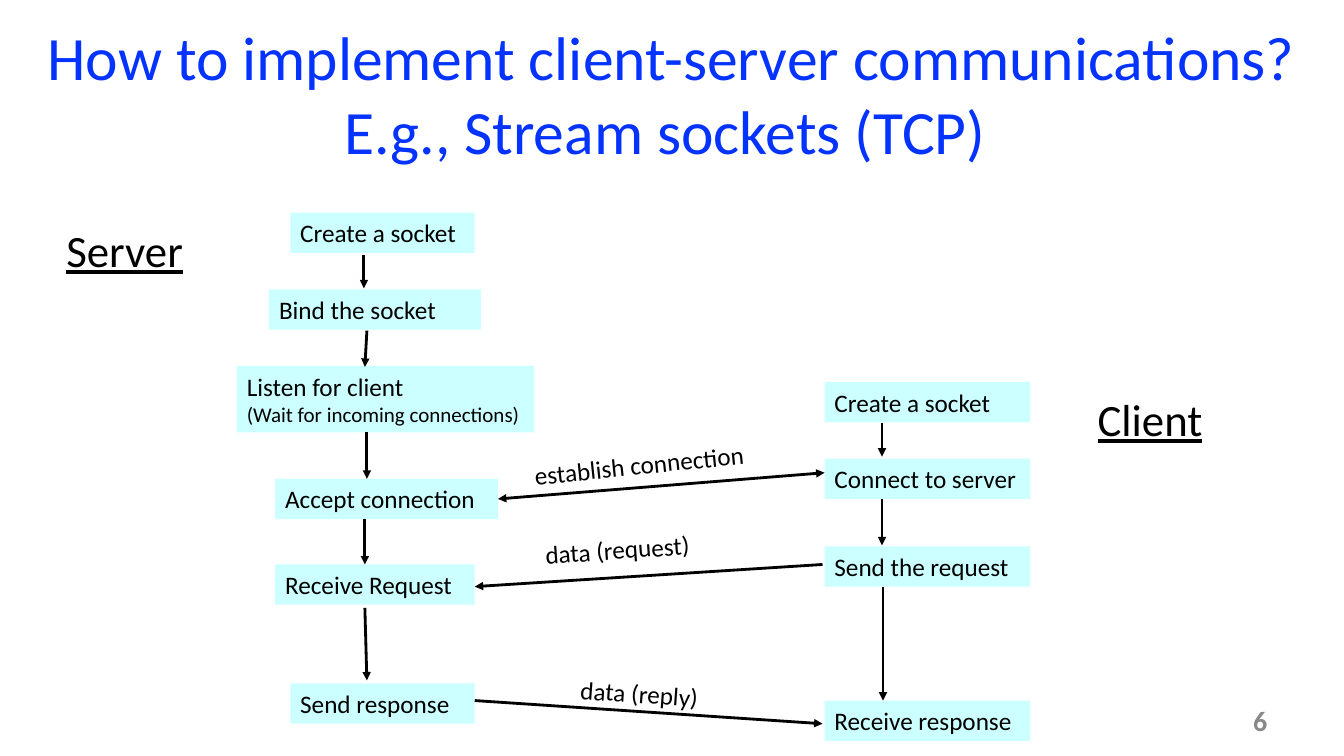
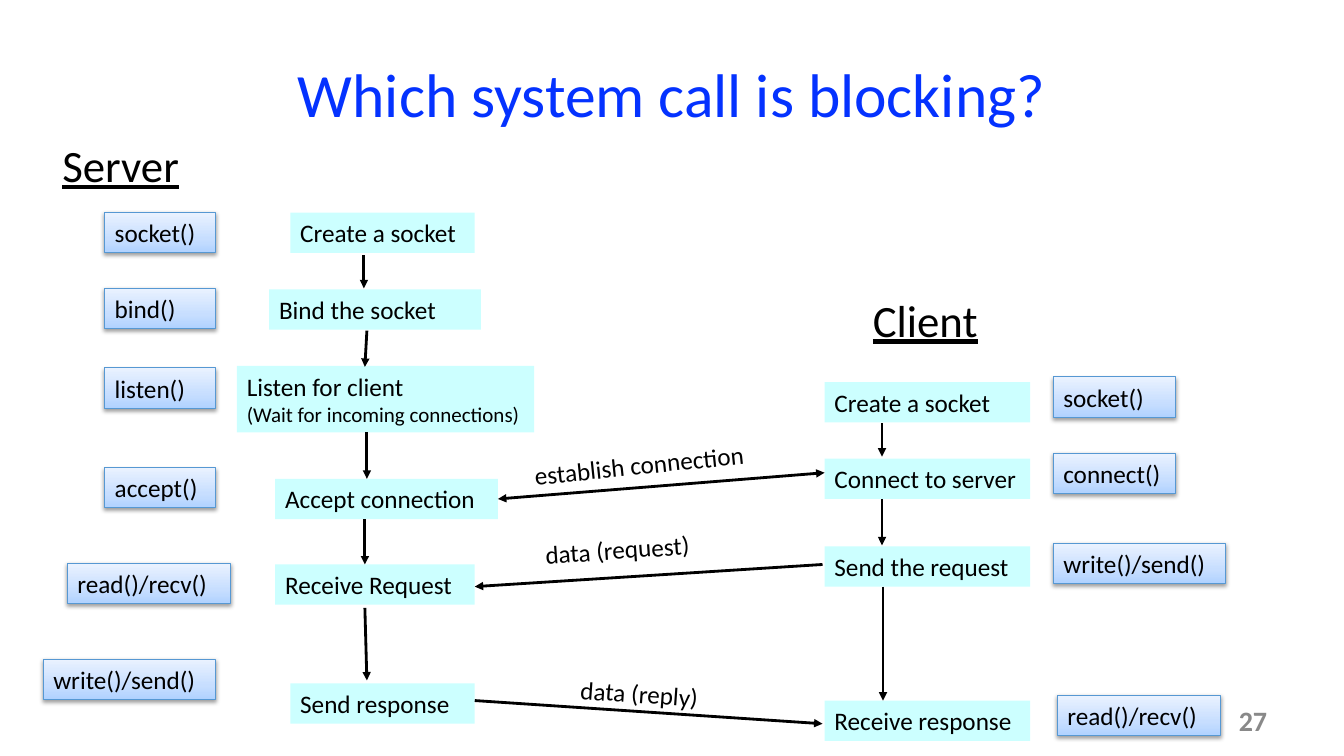
"""Two slides on client-server communication with stream sockets."""
from pptx import Presentation
from pptx import util as u
from pptx.dml.color import RGBColor
from pptx.enum import shapes, text
from pptx.oxml import parse_xml
from pptx.oxml.ns import nsdecls, qn

# The grid has ten columns and ten rows to the inch.
CELL = u.Inches(0.1)
COLS, ROWS = 133.33, 75
FONT = "Calibri"
BLUE, BLACK, GREY, CYAN, TAG_LINE = "0432FF", "000000", "898989", "CCFFFF", "5698D3"
TAG_STOPS = [(0, "B0D2FF"), (35, "C7DEFF"), (100, "EAF2FF")]
LEFT, CENTER, RIGHT = text.PP_ALIGN.LEFT, text.PP_ALIGN.CENTER, text.PP_ALIGN.RIGHT
TOP, MIDDLE = text.MSO_ANCHOR.TOP, text.MSO_ANCHOR.MIDDLE
BOX_H = 4
CLIENT_X, CLIENT_W = 81.8, 20.4

# Steps: column, row, width, height, lines of text
SERVER_STEPS = [
    (28.8, 21.1, 18.3, BOX_H, ["Create a socket"]),
    (26.7, 28.7, 21, BOX_H, ["Bind the socket"]),
    (23.5, 36.3, 29.5, 6.6, ["Listen for client", "(Wait for incoming connections)"]),
    (27.3, 47.5, 22.1, BOX_H, ["Accept connection"]),
    (27.3, 56, 19.8, BOX_H, ["Receive Request"]),
    (28.8, 67.8, 18.3, BOX_H, ["Send response"]),
]
CLIENT_STEPS = [
    (37.9, "Create a socket"),
    (45.5, "Connect to server"),
    (54.2, "Send the request"),
    (69.5, "Receive response"),
]
# Arrows: start column, start row, end column, end row
STEP_ARROWS = [
    (36.1, 25.3, 36.1, 28.6),
    (36.4, 32.8, 36.2, 36.4),
    (36.4, 42.9, 36.4, 47.5),
    (36.2, 51.5, 36.2, 56),
    (36.2, 60.3, 36.4, 67.5),
    (87.5, 42, 87.5, 45.3),
    (87.5, 49.5, 87.5, 54.1),
    (87.6, 58.2, 87.6, 69.5),
]
# Messages: arrow, both ends, label, label's place, turn, wrap
MESSAGES = [
    ((81.8, 46.9, 49.4, 49.5), True, "establish connection", (52, 44, 25, 4), -6, True),
    ((81.6, 56, 47.1, 58.2), False, "data (request)", (53.1, 52.5, 16.6, 4), -4, False),
    ((47.1, 69.5, 81.6, 71.8), False, "data (reply)", (56.6, 66.8, 13.9, 4), 4.1, False),
]
# System calls: column, row, width, name
CALLS = [
    (10.4, 21.1, 11, "socket()"),
    (10.4, 28.6, 11, "bind()"),
    (10.4, 36.5, 11, "listen()"),
    (10.4, 46.4, 11, "accept()"),
    (6.7, 55.9, 16.2, "read()/recv()"),
    (4.3, 65.4, 17.1, "write()/send()"),
    (104.5, 37.4, 12.1, "socket()"),
    (104.5, 45, 12.1, "connect()"),
    (104.5, 53.9, 17.1, "write()/send()"),
    (104.9, 69, 16.2, "read()/recv()"),
]


def rgb(code):
    """Turn a hex string into a colour."""
    return RGBColor.from_string(code)


def cells(*values):
    """Turn columns and rows into lengths."""
    return [u.Emu(round(v * CELL)) for v in values]


class Deck:
    """Holds the style and the current slide."""

    def __init__(self):
        """Open an empty presentation of the right size."""
        self.prs = Presentation()
        self.prs.slide_width, self.prs.slide_height = cells(COLS, ROWS)
        self.slide = None

    def start(self, title, number):
        """Add a slide with its title and page number."""
        self.slide = self.prs.slides.add_slide(self.prs.slide_layouts[5])
        sp = self.slide.shapes.title
        sp.left, sp.top, sp.width, sp.height = cells(0, 3, COLS, 12.5)
        self.fill_text(sp, [title], 44, BLUE, CENTER, MIDDLE)
        self.label((95.6, 69.5, 31.1, 4), number, 20, GREY, RIGHT, MIDDLE, bold=True)

    def fill_text(self, sp, lines, size=18, color=BLACK, align=LEFT, anchor=TOP,
                  wrap=True, **looks):
        """Fill a shape with paragraphs; lines after the first are smaller."""
        tf = sp.text_frame
        tf.word_wrap = wrap
        tf.auto_size = text.MSO_AUTO_SIZE.NONE if wrap else text.MSO_AUTO_SIZE.SHAPE_TO_FIT_TEXT
        tf.vertical_anchor = anchor
        for i, line in enumerate(lines):
            p = tf.add_paragraph() if i else tf.paragraphs[0]
            p.text, p.alignment = line, align
            p.font.name, p.font.size = FONT, u.Pt(15 if i else size)
            p.font.color.rgb = rgb(color)
            for name, value in looks.items():
                setattr(p.font, name, value)

    def label(self, place, words, *style, turn=0, **looks):
        """Add a text box, turned if asked."""
        sp = self.slide.shapes.add_textbox(*cells(*place))
        sp.rotation = turn
        self.fill_text(sp, [words], *style, **looks)

    def box(self, place, lines):
        """Add a plain filled step box."""
        sp = self.slide.shapes.add_shape(shapes.MSO_SHAPE.RECTANGLE, *cells(*place))
        sp.shadow.inherit = False
        sp.fill.solid()
        sp.fill.fore_color.rgb = rgb(CYAN)
        sp.line.fill.background()
        self.fill_text(sp, lines)
        return sp

    def tag(self, place, name):
        """Add a system call box with gradient, outline and shadow."""
        sp = self.box(place, [name])
        sp.line.color.rgb, sp.line.width = rgb(TAG_LINE), u.Pt(0.75)
        sp.fill.gradient()
        sp.fill.gradient_angle = 90
        spPr = sp.element.spPr
        stops = spPr.find(".//" + qn("a:gsLst"))
        stops.clear()
        for pos, color in TAG_STOPS:
            stops.append(parse_xml(
                f'<a:gs {nsdecls("a")} pos="{pos * 1000}"><a:srgbClr val="{color}"/></a:gs>'))
        spPr.find(qn("a:effectLst")).append(parse_xml(
            f'<a:outerShdw {nsdecls("a")} blurRad="{u.Pt(3.1)}" dist="{u.Pt(1.6)}" '
            f'dir="5400000" rotWithShape="0"><a:srgbClr val="{BLACK}">'
            '<a:alpha val="38000"/></a:srgbClr></a:outerShdw>'))

    def arrow(self, ends, both=False):
        """Add an arrow, with a head at both ends if asked."""
        sp = self.slide.shapes.add_connector(shapes.MSO_CONNECTOR.STRAIGHT, *cells(*ends))
        sp.line.color.rgb, sp.line.width = rgb(BLACK), u.Pt(2)
        spPr = sp.element.spPr
        for end in ["headEnd", "tailEnd"] if both else ["tailEnd"]:
            spPr.find(qn("a:ln")).append(
                parse_xml(f'<a:{end} {nsdecls("a")} type="triangle"/>'))
        spPr.append(parse_xml(f'<a:effectLst {nsdecls("a")}/>'))

    def flow(self, server, client):
        """Draw the socket flow, with its two headings at the given places."""
        for *place, lines in SERVER_STEPS:
            self.box(place, lines)
        for row, step in CLIENT_STEPS:
            self.box((CLIENT_X, row, CLIENT_W, BOX_H), [step])
        for ends in STEP_ARROWS:
            self.arrow(ends)
        for ends, both, words, place, turn, wrap in MESSAGES:
            self.arrow(ends, both)
            self.label(place, words, turn=turn, wrap=wrap)
        self.label((*server, 13.7, 6.4), "Server", 32, wrap=False, underline=True)
        self.label((*client, 12.5, 6.4), "Client", 32, wrap=False, underline=True)


deck = Deck()
deck.start("How to implement client-server communications?\vE.g., Stream sockets (TCP)\t", "6")
deck.flow(server=(5.6, 21.6), client=(107.9, 38.4))

deck.start("Which system call is blocking?", "27")
deck.flow(server=(5.2, 13.2), client=(85.6, 28.5))
for *spot, call in CALLS:
    deck.tag((*spot, BOX_H), call)

deck.prs.save("out.pptx")
